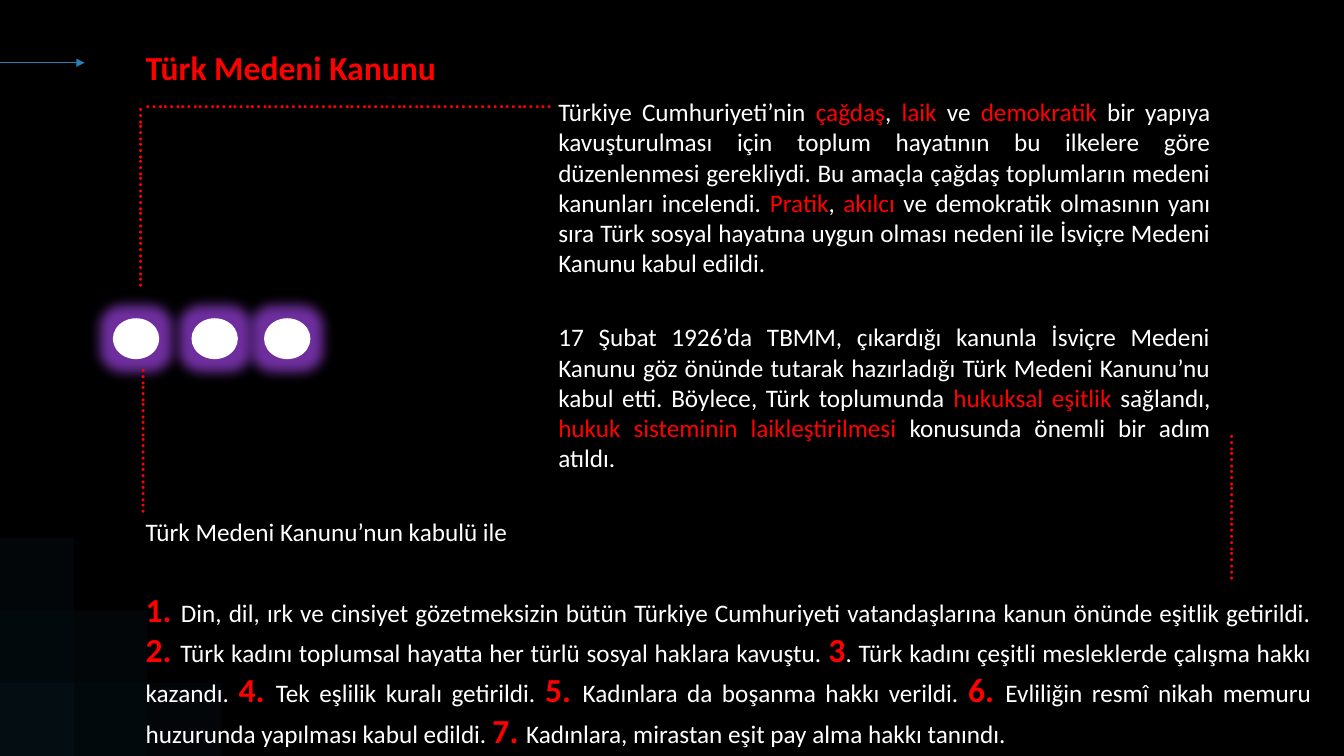
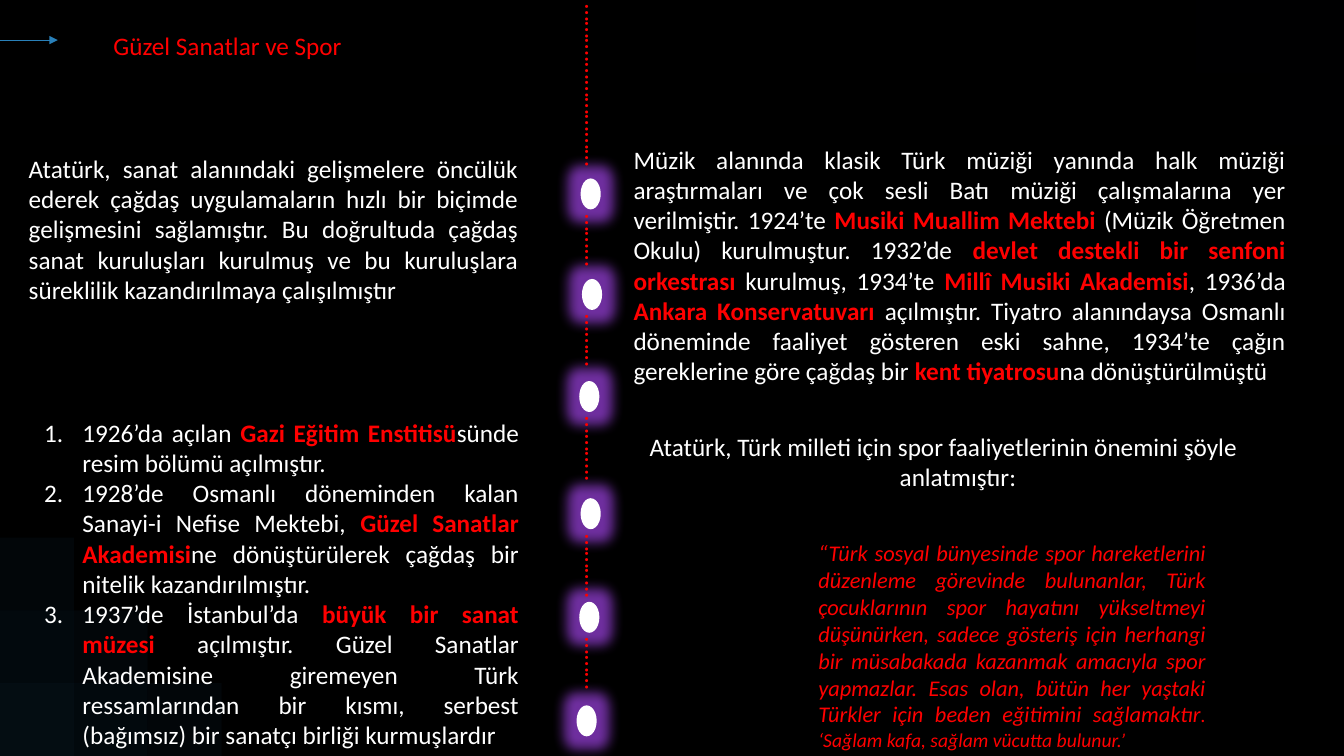
from lxml import etree
from pptx import Presentation, util as u
from pptx.dml.color import RGBColor
from pptx.enum import shapes, text
from pptx.oxml import ns

C = {"bg": "000000", "ink": "FFFFFF", "red": "FF0000", "blue": "2980B9",
     "navy": "171622", "glow": "7030A0"}
RGB = {name: RGBColor.from_string(value) for name, value in C.items()}
JUSTIFY, LEFT = text.PP_ALIGN.JUSTIFY, text.PP_ALIGN.LEFT
LINE_H = 5.3

prs = Presentation()
prs.slide_width, prs.slide_height = u.Inches(13.33), u.Inches(7.5)
COL, ROW = prs.slide_width / 100, prs.slide_height / 100


def sub(parent, tag, **attrs):
    return etree.SubElement(parent, ns.qn(tag), attrs)


def write(s, box, paras, size=18, base="ink", accent=None, align=JUSTIFY,
          wrap=True, turn=0, numbered=False, tabs=(), indents=()):
    x, y, w, h = box
    sp = s.shapes.add_textbox(int(x * COL), int(y * ROW), int(w * COL), int(h * ROW))
    sp.rotation = turn
    tf = sp.text_frame
    tf.word_wrap = wrap
    accent = accent or {}
    for i, para in enumerate(paras):
        p = tf.paragraphs[0] if i == 0 else tf.add_paragraph()
        p.alignment = align
        pPr = p._p.get_or_add_pPr()
        if numbered:
            pPr.set("marL", str(u.Inches(0.38)))
            pPr.set("indent", str(-u.Inches(0.38)))
            sub(pPr, "a:buFont", typeface="+mj-lt")
            sub(pPr, "a:buAutoNum", type="arabicPeriod")
        if indents:
            pPr.set("marL", str(int(indents[i] * COL)))
        if tabs:
            tab_list = sub(pPr, "a:tabLst")
            for stop in tabs:
                sub(tab_list, "a:tab", pos=str(int(stop * ROW)), algn="l")
        p.font.name, p.font.size = "Calibri", u.Pt(size)
        for n, part in enumerate(para.split("|")):
            if not part:
                continue
            r = p.add_run()
            r.text = part
            r.font.color.rgb = RGB["red" if n % 2 else base]
            if n % 2:
                for key, value in accent.items():
                    setattr(r.font, key, value)
    return tf


fill = prs.slide_master.background.fill
fill.solid()
fill.fore_color.rgb = RGB["bg"]
civil, arts = [prs.slides.add_slide(prs.slide_layouts[6]) for _ in range(2)]

TILE_W, TILE_H = 5.5, 9.63
tiles = [(i, j) for j in range(3) for i in range(3 - j)]
master_tree = prs.slide_master.shapes.element
for color, alphas, right in (("blue", (10, 7, 5), False), ("navy", (4, 3, 2), True)):
    for i, j in tiles:
        x = 100 - (i + 1) * TILE_W if right else i * TILE_W
        y = j * TILE_H if right else 100 - (j + 1) * TILE_H
        sp = civil.shapes.add_shape(shapes.MSO_SHAPE.RECTANGLE, int(x * COL), int(y * ROW),
                                    int(TILE_W * COL), int(TILE_H * ROW))
        sp.shadow.inherit = False
        sp.line.fill.background()
        sp.fill.solid()
        sp.fill.fore_color.rgb = RGB[color]
        tint = next(sp.element.spPr.iter(ns.qn("a:srgbClr")))
        sub(tint, "a:alpha", val=str(alphas[i + j] * 1000))
        sp.element.nvSpPr.cNvPr.set("id", str(100 + len(master_tree)))
        master_tree.append(sp.element)

beads_row = [(x, 42.1) for x in (8.4, 14.25, 19.65)]
beads_spine = [(43.2, 23.6), (43.3, 36.9), (43.1, 50.4),
               (43.2, 65.9), (43.1, 79.6), (42.9, 93.3)]
for s, beads, w, h, arrow_x, arrow_y in ((civil, beads_row, 3.45, 5.4, 6.3, 8.3),
                                         (arts, beads_spine, 1.5, 4.1, 4.3, 5.3)):
    for x, y in beads:
        sp = s.shapes.add_shape(shapes.MSO_SHAPE.OVAL, int(x * COL), int(y * ROW),
                                int(w * COL), int(h * ROW))
        sp.shadow.inherit = False
        sp.fill.solid()
        sp.fill.fore_color.rgb = RGB["ink"]
        sp.line.fill.background()
        effects = sp.element.spPr.find(ns.qn("a:effectLst"))
        glow = sub(effects, "a:glow", rad=str(u.Pt(18)))
        sub(glow, "a:srgbClr", val=C["glow"])
    arrow = s.shapes.add_connector(shapes.MSO_CONNECTOR.STRAIGHT, 0, int(arrow_y * ROW),
                                   int(arrow_x * COL), int(arrow_y * ROW))
    arrow.line.color.rgb = RGB["blue"]
    arrow.line.width = u.Pt(0.5)
    sub(arrow.line._get_or_add_ln(), "a:tailEnd", type="triangle")
    sub(arrow.element.spPr, "a:effectLst")

MARGIN, HALF = 10.1, 50
tf = write(civil, (MARGIN, 5.6, 23.3, 6.7), ["Türk Medeni Kanunu"], 24, "red",
           align=LEFT, wrap=False)
tf.paragraphs[0].runs[0].font.bold = True
write(civil, (40.8, 12.1, HALF, 25.6), [
    "Türkiye Cumhuriyeti’nin |çağdaş|, |laik| ve |demokratik| bir yapıya kavuşturulması için "
    "toplum hayatının bu ilkelere göre düzenlenmesi gerekliydi. Bu amaçla çağdaş toplumların "
    "medeni kanunları incelendi. |Pratik|, |akılcı| ve demokratik olmasının yanı sıra Türk "
    "sosyal hayatına uygun olması nedeni ile İsviçre Medeni Kanunu kabul edildi."])
write(civil, (40.8, 41.9, HALF, 21.6), [
    "17 Şubat 1926’da TBMM, çıkardığı kanunla İsviçre Medeni Kanunu göz önünde tutarak "
    "hazırladığı Türk Medeni Kanunu’nu kabul etti. Böylece, Türk toplumunda |hukuksal eşitlik "
    "|sağlandı, |hukuk sisteminin laikleştirilmesi |konusunda önemli bir adım atıldı."])
write(civil, (MARGIN, 67.6, 28.8, LINE_H), ["Türk Medeni Kanunu’nun kabulü ile"], wrap=False)
write(civil, (MARGIN, 77.2, 88.2, 22.9), [
    "|1. |Din, dil, ırk ve cinsiyet gözetmeksizin bütün Türkiye Cumhuriyeti vatandaşlarına "
    "kanun önünde eşitlik getirildi. |2. |Türk kadını toplumsal hayatta her türlü sosyal "
    "haklara kavuştu. |3|. Türk kadını çeşitli mesleklerde çalışma hakkı kazandı. |4. |Tek "
    "eşlilik kuralı getirildi. |5. |Kadınlara da boşanma hakkı verildi. |6. |Evliliğin resmî "
    "nikah memuru huzurunda yapılması kabul edildi. |7. |Kadınlara, mirastan eşit pay alma "
    "hakkı tanındı."], accent={"size": u.Pt(24), "bold": True})
for x, y, w, turn, dots in (
        (3.1, 24.5, 16.05, 90, "…………………..…….."),
        (MARGIN, 10.4, 32, 0, "………………………..……………………........…….."),
        (4.9, 56.1, 12.8, 90, "……………..…….."),
        (85.9, 64.9, 12.8, 90, "……………..……..")):
    write(civil, (x, y, w, LINE_H), [dots], base="red", align=LEFT, turn=turn)

BOLD = {"bold": True}
write(arts, (7.7, 3.3, 18.7, LINE_H), ["Güzel Sanatlar ve Spor"], base="red",
      align=LEFT, wrap=False)
write(arts, (1.4, 19.6, 37.9, 21.6), [
    "Atatürk, sanat alanındaki gelişmelere öncülük ederek çağdaş uygulamaların hızlı bir "
    "biçimde gelişmesini sağlamıştır. Bu doğrultuda çağdaş sanat kuruluşları kurulmuş ve bu "
    "kuruluşlara süreklilik kazandırılmaya çalışılmıştır"])
write(arts, (2.55, 54.5, 36.8, 45.5), [
    "1926’da açılan |Gazi Eğitim Enstitisü|sünde resim bölümü açılmıştır.",
    "1928’de Osmanlı döneminden kalan Sanayi-i Nefise Mektebi, |Güzel Sanatlar Akademisi|ne "
    "dönüştürülerek çağdaş bir nitelik kazandırılmıştır.",
    "1937’de İstanbul’da |büyük bir sanat müzesi |açılmıştır. Güzel Sanatlar Akademisine "
    "giremeyen Türk ressamlarından bir kısmı, serbest (bağımsız) bir sanatçı birliği "
    "kurmuşlardır"], accent=BOLD, numbered=True)
write(arts, (46.4, 18.4, HALF, 33.6), [
    "Müzik alanında klasik Türk müziği yanında halk müziği araştırmaları ve çok sesli Batı "
    "müziği çalışmalarına yer verilmiştir. 1924’te |Musiki Muallim Mektebi |(Müzik Öğretmen "
    "Okulu) kurulmuştur. 1932’de |devlet destekli bir senfoni orkestrası |kurulmuş, 1934’te "
    "|Millî Musiki Akademisi|, 1936’da |Ankara Konservatuvarı |açılmıştır. Tiyatro "
    "alanındaysa Osmanlı döneminde faaliyet gösteren eski sahne, 1934’te çağın gereklerine "
    "göre çağdaş bir |kent tiyatrosu|na dönüştürülmüştü"], accent=BOLD)
write(arts, (47.6, 56.4, HALF, 9.5), [
    "Atatürk, Türk milleti için spor faaliyetlerinin önemini şöyle", "anlatmıştır:"],
    indents=(0, 18.6))
tf = write(arts, (60.15, 70.7, 30.3, 29.3), [
    "“Türk sosyal bünyesinde spor hareketlerini düzenleme görevinde bulunanlar, Türk "
    "çocuklarının spor hayatını yükseltmeyi düşünürken, sadece gösteriş için herhangi bir "
    "müsabakada kazanmak amacıyla spor yapmazlar. Esas olan, bütün her yaştaki Türkler için "
    "beden eğitimini sağlamaktır|. ‘Sağlam kafa, sağlam vücutta bulunur.’"],
    16, "red", {"size": u.Pt(14)})
tf.paragraphs[0].font.italic = True
spine = ["……….………………", "………", "………", "………..", "………..", "………"]
write(arts, (16, 46.9, 56.6, LINE_H), ["\t".join(spine)], base="red", align=LEFT, turn=90,
      tabs=[y + 4.2 for _, y in beads_spine[:-1]])

prs.save("out.pptx")
